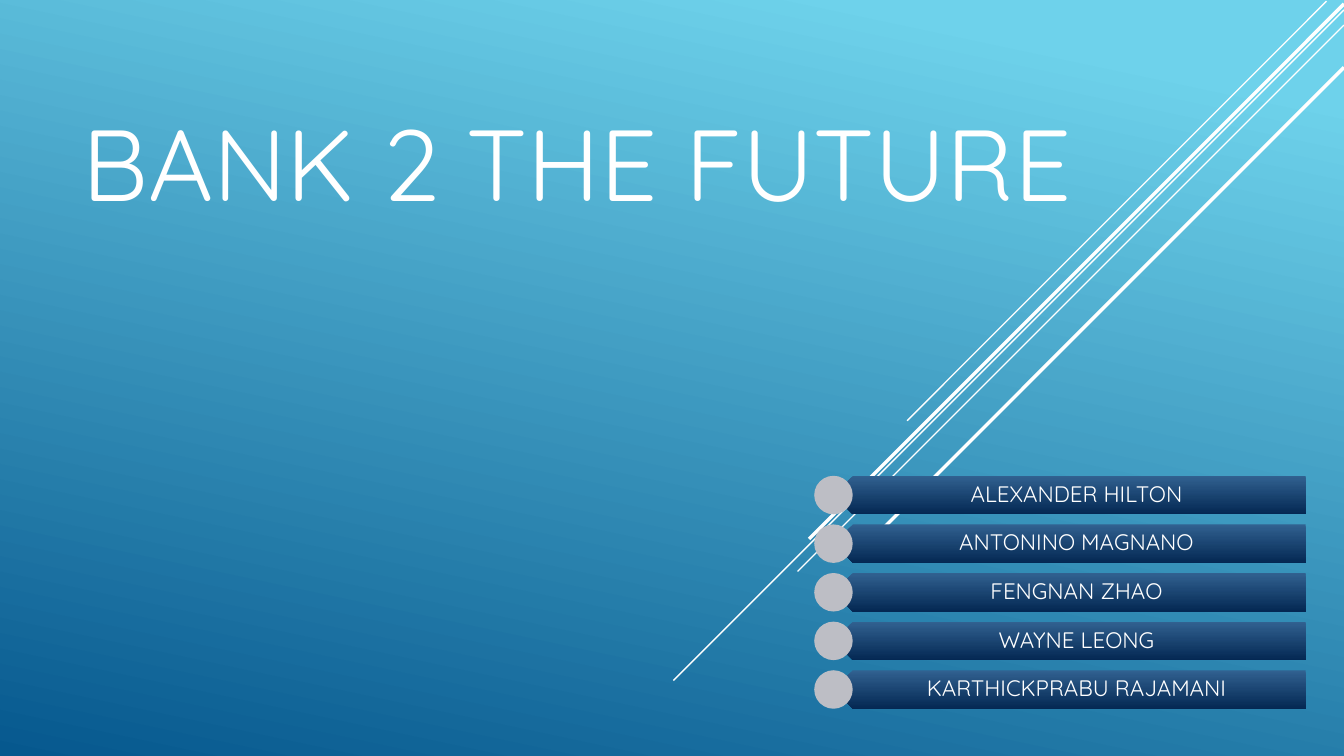
from lxml.etree import SubElement
from pptx import Presentation
from pptx.dml.color import RGBColor
from pptx.enum.shapes import MSO_CONNECTOR, MSO_SHAPE
from pptx.enum.text import MSO_ANCHOR, PP_ALIGN
from pptx.oxml.ns import qn
from pptx.util import Cm, Pt

TITLE = "BANK 2 THE FUTURE"
MEMBERS = [
    "ALEXANDER HILTON",
    "ANTONINO MAGNANO",
    "FENGNAN ZHAO",
    "WAYNE LEONG",
    "KARTHICKPRABU RAJAMANI",
]
FONT = "Quicksand"
COLORS = {
    "white": "FFFFFF",
    "sky": "6ED2EB",
    "ocean": "06588E",
    "bar_top": "316190",
    "bar_bottom": "042853",
    "dot": "BDBEC5",
}
# Right end x, right end y, horizontal run (cm) and width (pt); all fall at 45 degrees
RAYS = [
    (33.43, 0.03, 10.57, 1),
    (33.87, 0.25, 16.9, 1),
    (33.87, 0.63, 13.77, 1),
    (33.87, 0.1, 13.48, 2.5),
    (33.87, 1.7, 12.07, 2.5),
]
TITLE_BOX = (0, -1.17, 29.08, 6.83)
LIST_TOP, ROW_PITCH, ROW_HEIGHT = 11.99, 1.225, 0.97
DOT_LEFT, BAR_LEFT, LABEL_LEFT, LIST_RIGHT = 20.52, 21.01, 21.23, 32.9


def color(name):
    return RGBColor.from_string(COLORS[name])


def fill_gradient(fill, angle, stops):
    """Apply two (position, colour name) stops; the angle runs counter-clockwise."""
    fill.gradient()
    fill.gradient_angle = angle
    for stop, (position, name) in zip(fill.gradient_stops, stops):
        stop.position = position
        stop.color.rgb = color(name)


def add_ray(slide, right, top, run, width):
    ray = slide.shapes.add_connector(
        MSO_CONNECTOR.STRAIGHT, Cm(right), Cm(top), Cm(right - run), Cm(top + run))
    ray.line.color.rgb = color("white")
    ray.line.width = Pt(width)
    SubElement(ray._element.spPr, qn("a:effectLst"))


def add_label(slide, box, text, size, anchor, margins):
    """Add a centred white text box; margins are left, top, right, bottom in cm."""
    frame = slide.shapes.add_textbox(*map(Cm, box)).text_frame
    frame.word_wrap = True
    frame.vertical_anchor = anchor
    (frame.margin_left, frame.margin_top,
     frame.margin_right, frame.margin_bottom) = map(Cm, margins)
    paragraph = frame.paragraphs[0]
    paragraph.text = text
    paragraph.alignment = PP_ALIGN.CENTER
    paragraph.line_spacing = 0.9
    paragraph.font.name = FONT
    paragraph.font.size = Pt(size)
    paragraph.font.color.rgb = color("white")


def add_plain_shape(slide, kind, left, top, width):
    shape = slide.shapes.add_shape(kind, Cm(left), Cm(top), Cm(width), Cm(ROW_HEIGHT))
    shape.shadow.inherit = False
    shape.line.fill.background()
    return shape


def add_member(slide, name, top):
    bar = add_plain_shape(slide, MSO_SHAPE.PENTAGON, BAR_LEFT, top, LIST_RIGHT - BAR_LEFT)
    bar.rotation = 180
    fill_gradient(bar.fill, 270, [(0, "bar_top"), (1, "bar_bottom")])
    # Keep the light end up although the bar is turned
    bar._element.spPr.find(qn("a:gradFill")).set("rotWithShape", "0")

    label_box = (LABEL_LEFT, top, LIST_RIGHT - LABEL_LEFT, ROW_HEIGHT)
    add_label(slide, label_box, name, 16, MSO_ANCHOR.MIDDLE, (0.43, 0.18, 0.3, 0.18))

    dot = add_plain_shape(slide, MSO_SHAPE.OVAL, DOT_LEFT, top, ROW_HEIGHT)
    dot.fill.solid()
    dot.fill.fore_color.rgb = color("dot")


def main():
    presentation = Presentation()
    presentation.slide_width, presentation.slide_height = Cm(33.87), Cm(19.05)
    slide = presentation.slides.add_slide(presentation.slide_layouts[6])
    fill_gradient(slide.background.fill, 258, [(0.1, "sky"), (1, "ocean")])

    for ray in RAYS:
        add_ray(slide, *ray)
    add_label(slide, TITLE_BOX, TITLE, 72, MSO_ANCHOR.BOTTOM, (0.25, 0.13, 0.25, 0.03))
    for row, name in enumerate(MEMBERS):
        add_member(slide, name, LIST_TOP + row * ROW_PITCH)

    presentation.save("out.pptx")


if __name__ == "__main__":
    main()
